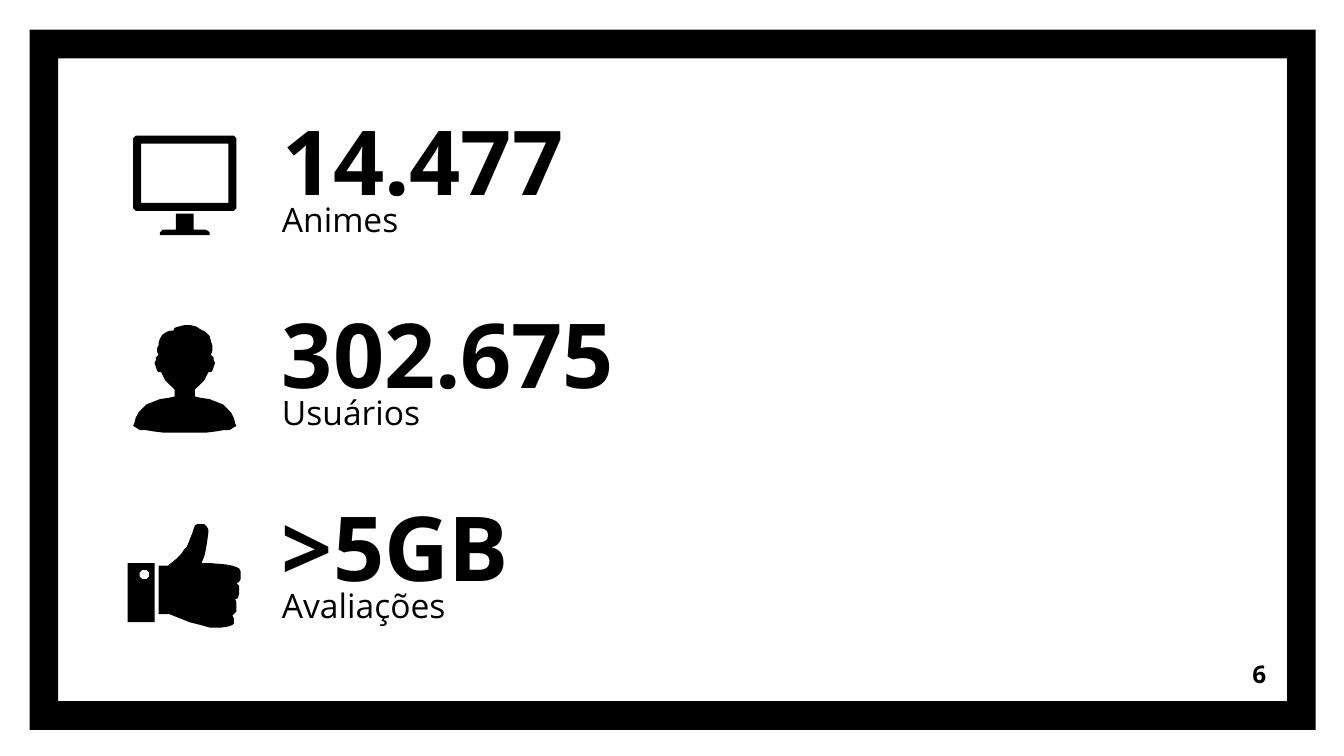
from math import cos, pi, sin

from pptx import Presentation
from pptx import util as u
from pptx.dml.color import RGBColor
from pptx.enum import shapes, text

BLACK = RGBColor(0, 0, 0)
WHITE = RGBColor(255, 255, 255)
FONT = "Open Sans"
ICON_UNIT = u.Inches(0.01)

SCREEN = [
    [(101, 101), (174, 101), (175, 102), (176, 103), (176, 155), (175, 156),
     (174, 157), (101, 157), (100, 156), (99, 155), (99, 103), (100, 102)],
    [(170, 107), (170, 151), (105, 151), (105, 107)],
]
STAND = [
    [(131, 159), (131, 171), (121, 171), (120, 172), (119, 173), (119, 175),
     (156, 175), (156, 173), (155, 172), (153, 171), (144, 171), (144, 159)],
]

HAIR = [(118, 264), (117, 262), (117, 259), (118, 257), (118, 255), (119, 252),
        (121, 249), (124, 247), (127, 246), (129, 246), (130, 244), (133, 243),
        (137, 242), (142, 242), (146, 243), (149, 245), (153, 247), (156, 250),
        (157, 254), (158, 257), (158, 261), (157, 264)]
RIGHT_SIDE = [(158, 265), (159, 266), (159, 268), (160, 270), (159, 273),
              (158, 276), (157, 277), (155, 277), (154, 279), (152, 283),
              (149, 286), (146, 289), (145, 290), (145, 295), (149, 296),
              (156, 297), (161, 299), (166, 301), (169, 304), (172, 307),
              (174, 311), (175, 315), (176, 317), (174, 318), (171, 320),
              (167, 320), (161, 321), (153, 322), (143, 322)]
LEFT_SIDE = [(275 - x, y) for x, y in reversed(RIGHT_SIDE)]
PERSON = [HAIR + RIGHT_SIDE + LEFT_SIDE]

BUTTON = [(round(107.5 + 3.5 * cos(i * pi / 8)), round(427.5 + 3.5 * sin(i * pi / 8)))
          for i in range(16)]
CUFF = [[(95, 419), (95, 463), (115, 463), (115, 419)], BUTTON]
THUMB = [
    [(150, 390), (147, 390), (145, 391), (143, 397), (141, 402), (139, 407),
     (137, 409), (135, 412), (131, 416), (125, 421), (118, 421), (118, 457),
     (126, 457), (131, 459), (141, 463), (149, 465), (156, 467), (165, 467),
     (171, 466), (173, 465), (174, 464), (174, 460), (173, 458), (174, 457),
     (176, 455), (176, 454), (176, 448), (175, 446), (177, 445), (178, 442),
     (178, 436), (176, 434), (178, 433), (179, 431), (179, 425), (178, 423),
     (176, 422), (173, 421), (168, 420), (156, 419), (150, 419), (152, 414),
     (153, 410), (154, 404), (155, 397), (155, 394), (154, 392), (152, 390)],
]


class StatSlide:
    def __init__(self, slide):
        self.slide = slide

    def paint(self, shape):
        shape.shadow.inherit = False
        shape.fill.solid()
        shape.fill.fore_color.rgb = BLACK
        shape.line.fill.background()

    def border(self, left, top, width, height):
        frame = self.slide.shapes.add_shape(
            shapes.MSO_SHAPE.FRAME, u.Inches(left), u.Inches(top),
            u.Inches(width), u.Inches(height))
        frame.adjustments[0] = 0.041
        self.paint(frame)

    def icon(self, contours):
        first, *others = contours
        outline = self.slide.shapes.build_freeform(*first[0], scale=ICON_UNIT)
        outline.add_line_segments(first[1:], close=True)
        for contour in others:
            outline.move_to(*contour[0])
            outline.add_line_segments(contour[1:], close=True)
        self.paint(outline.convert_to_shape())

    def label(self, words, left, top, width, height, size, bold=False,
              anchor=text.MSO_ANCHOR.TOP, align=text.PP_ALIGN.LEFT, before=0,
              holder=None):
        area = [u.Inches(n) for n in (left, top, width, height)]
        if holder is None:
            holder = self.slide.shapes.add_textbox(*area)
        holder.left, holder.top, holder.width, holder.height = area
        body = holder.text_frame
        body.text = words
        body.word_wrap = True
        body.auto_size = text.MSO_AUTO_SIZE.NONE
        body.vertical_anchor = anchor
        body.margin_left = body.margin_right = u.Inches(0.1)
        body.margin_top = body.margin_bottom = u.Inches(0.1)
        paragraph = body.paragraphs[0]
        paragraph.alignment = align
        paragraph.space_before = u.Pt(before)
        font = paragraph.runs[0].font
        font.name, font.size, font.bold = FONT, u.Pt(size), bold
        font.color.rgb = BLACK

    def stat(self, number, caption, top, icon_parts, holder):
        self.label(number, 2, top, 6.6, 0.98, 48, bold=True,
                   anchor=text.MSO_ANCHOR.BOTTOM, holder=holder)
        self.label(caption, 2, top + 0.67, 6.6, 0.51, 18, before=6)
        for part in icon_parts:
            self.icon(part)


def main():
    deck = Presentation()
    deck.slide_width = u.Inches(10)
    deck.slide_height = deck.slide_width * 9 // 16
    slide = deck.slides.add_slide(deck.slide_layouts[5])
    slide.background.fill.solid()
    slide.background.fill.fore_color.rgb = WHITE
    page = StatSlide(slide)
    page.border(0.22, 0.22, 9.57, 5.21)
    stats = [
        ("14.477", "Animes", [SCREEN, STAND], slide.shapes.title),
        ("302.675", "Usuários", [PERSON], None),
        (">5GB", "Avaliações", [CUFF, THUMB], None),
    ]
    for row, (number, caption, icon_parts, holder) in enumerate(stats):
        page.stat(number, caption, 0.71 + row * 1.435, icon_parts, holder)
    page.label("6", 8.92, 4.8, 0.6, 0.43, 13, bold=True,
               anchor=text.MSO_ANCHOR.MIDDLE, align=text.PP_ALIGN.RIGHT)
    deck.save("out.pptx")


if __name__ == "__main__":
    main()
